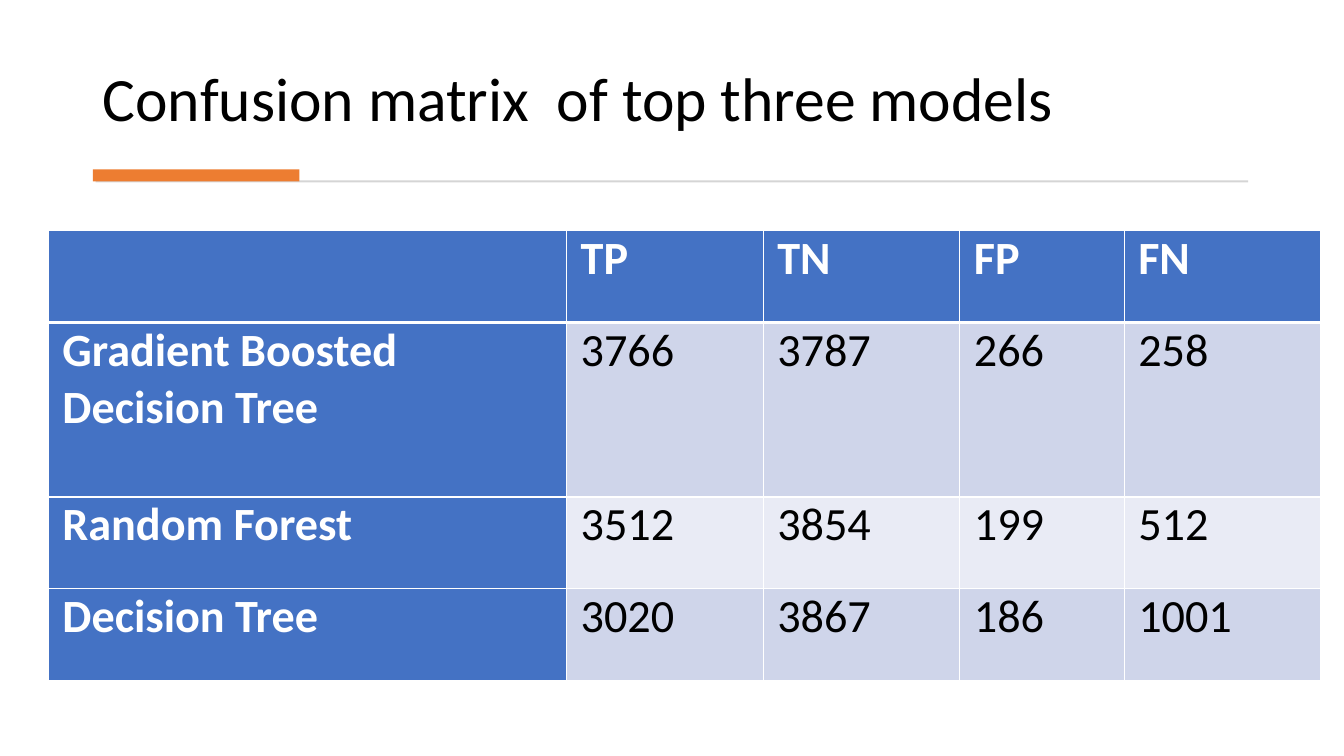
"""Build the slide that compares the confusion matrices of three models."""
import dataclasses
import typing

import lxml.etree
import pptx
import pptx.dml.color
import pptx.enum.shapes
import pptx.enum.text
import pptx.oxml.ns
import pptx.util

Inches = pptx.util.Inches
BLACK, WHITE, BLUE = "000000", "FFFFFF", "4472C4"
BANDS = ("CFD5EA", "E9EBF5")
WIDTHS = (5.14, 1.95, 1.95, 1.63, 1.95)
HEAD = ("", "TP", "TN", "FP", "FN")


@dataclasses.dataclass(frozen=True)
class Bar:
    left: float
    top: float
    width: float
    height: float
    color: str


@dataclasses.dataclass(frozen=True)
class Row:
    cells: tuple[str, ...]
    height: float


BARS = (
    Bar(0.95, 1.79, 11.43, 0.02, "D5D5D5"),
    Bar(0.92, 1.68, 2.05, 0.12, "ED7D31"),
)
ROWS = (
    Row(HEAD, 0.91),
    Row(("Gradient Boosted Decision Tree", "3766", "3787", "266", "258"), 1.73),
    Row(("Random Forest", "3512", "3854", "199", "512"), 0.91),
    Row(("Decision Tree", "3020", "3867", "186", "1001"), 0.91),
)


def paint(fill: typing.Any, color: str) -> None:
    """Fill with one solid colour."""
    fill.solid()
    fill.fore_color.rgb = pptx.dml.color.RGBColor.from_string(color)


def write(frame: typing.Any, text: str, *, size: float, color: str,
          bold: bool = False, spacing: float = 1.0) -> None:
    """Put formatted text in a frame."""
    frame.word_wrap = True
    para = frame.paragraphs[0]
    para.line_spacing = spacing
    font = para.font
    if text:
        run = para.add_run()
        run.text = text
        font = run.font
    font.name = "Calibri"
    font.size = pptx.util.Pt(size)
    font.bold = bold
    paint(font.fill, color)


def edge(cell: typing.Any, side: str, width: float) -> None:
    """Add a white border to one side of a cell."""
    qn = pptx.oxml.ns.qn
    props = cell._tc.get_or_add_tcPr()
    line = lxml.etree.SubElement(props, qn(f"a:ln{side}"), w=str(pptx.util.Pt(width)))
    fill = lxml.etree.SubElement(line, qn("a:solidFill"))
    lxml.etree.SubElement(fill, qn("a:srgbClr"), val=WHITE)


def draw_bar(slide: typing.Any, bar: Bar) -> None:
    """Draw one bar of the title rule."""
    shape = slide.shapes.add_shape(
        pptx.enum.shapes.MSO_SHAPE.RECTANGLE, Inches(bar.left), Inches(bar.top),
        Inches(bar.width), Inches(bar.height))
    shape.shadow.inherit = False
    paint(shape.fill, bar.color)
    shape.line.fill.background()


def draw_cell(cell: typing.Any, text: str, row: int, col: int) -> None:
    """Style and fill one cell of the matrix."""
    label = row == 0 or col == 0
    cell.margin_left = cell.margin_right = Inches(0.14)
    cell.margin_top = cell.margin_bottom = 0
    for side in "LRTB":
        thick = (row, side) in ((0, "B"), (1, "T"))
        edge(cell, side, 3 if thick else 1)
    paint(cell.fill, BLUE if label else BANDS[(row - 1) % 2])
    write(cell.text_frame, text, size=33, color=WHITE if label else BLACK, bold=label)


def draw_table(slide: typing.Any) -> None:
    """Draw the matrix of results."""
    tall = sum(row.height for row in ROWS)
    table = slide.shapes.add_table(
        len(ROWS), len(WIDTHS), Inches(0.48), Inches(2.29),
        Inches(sum(WIDTHS)), Inches(tall)).table
    table.first_col = True
    for col, width in enumerate(WIDTHS):
        table.columns[col].width = Inches(width)
    for i, row in enumerate(ROWS):
        table.rows[i].height = Inches(row.height)
        for j, text in enumerate(row.cells):
            draw_cell(table.cell(i, j), text, i, j)


def main() -> None:
    """Build and save the slide."""
    deck = pptx.Presentation()
    deck.slide_width, deck.slide_height = Inches(13.33), Inches(7.5)
    slide = deck.slides.add_slide(deck.slide_layouts[6])
    paint(slide.background.fill, WHITE)
    title = slide.shapes.add_textbox(
        Inches(0.92), Inches(0.28), Inches(11.49), Inches(1.11)).text_frame
    title.vertical_anchor = pptx.enum.text.MSO_ANCHOR.BOTTOM
    write(title, "Confusion matrix  of top three models",
          size=44, color=BLACK, spacing=0.9)
    for bar in BARS:
        draw_bar(slide, bar)
    draw_table(slide)
    deck.save("out.pptx")


if __name__ == "__main__":
    main()
